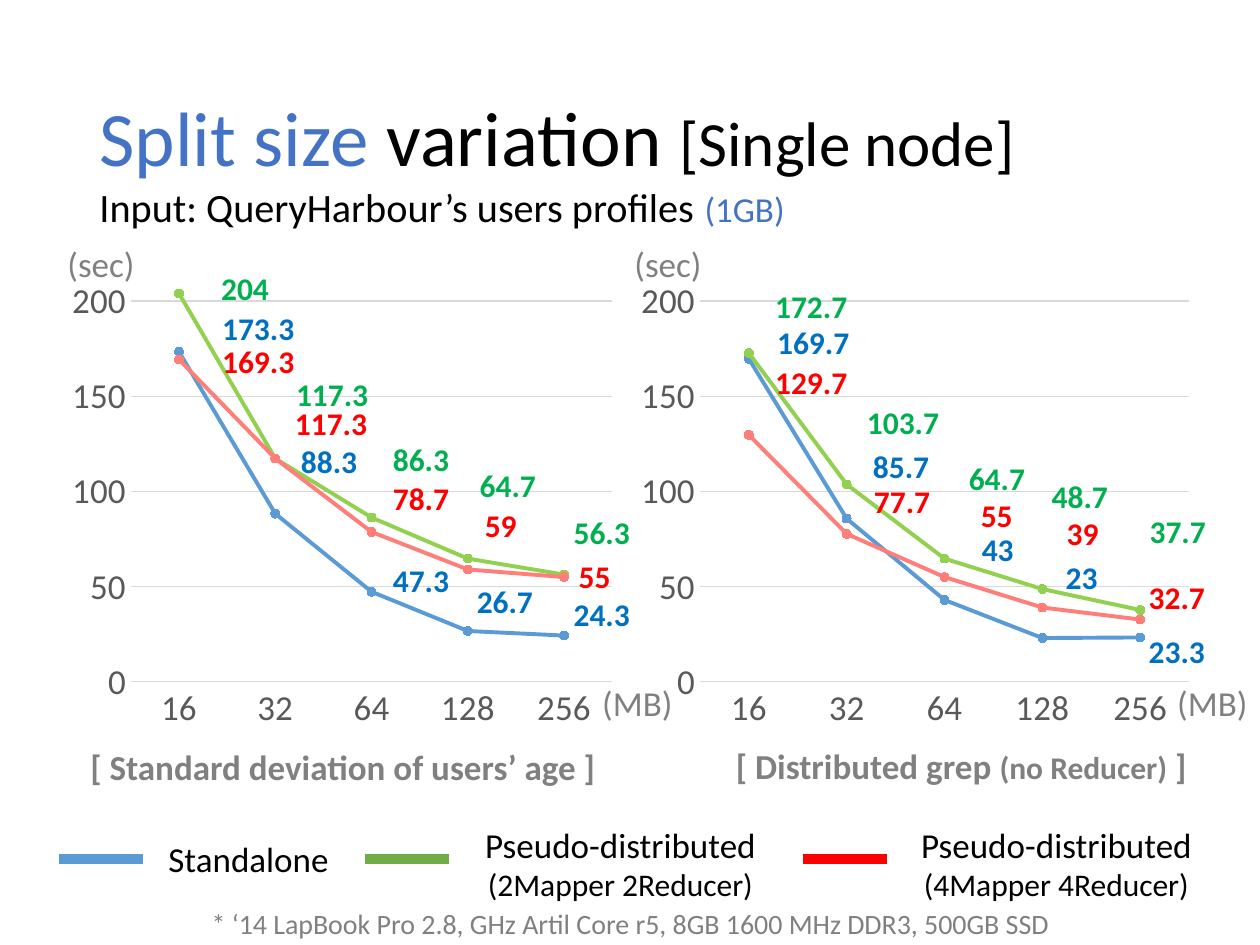
from dataclasses import dataclass

from lxml.etree import SubElement
from pptx import Presentation
from pptx.chart.data import CategoryChartData
from pptx.dml.color import RGBColor
from pptx.enum.chart import XL_CHART_TYPE, XL_LABEL_POSITION, XL_MARKER_STYLE, XL_TICK_MARK
from pptx.enum.shapes import MSO_CONNECTOR
from pptx.enum.text import MSO_ANCHOR, MSO_AUTO_SIZE, PP_ALIGN
from pptx.oxml import parse_xml
from pptx.oxml.ns import qn
from pptx.util import Emu, Pt

PX_PER_INCH = 126
FONT = "Calibri"
BLACK = RGBColor(0x00, 0x00, 0x00)
GRAY = RGBColor(0x80, 0x80, 0x80)
AXIS_GRAY = RGBColor(0x59, 0x59, 0x59)
GRID_GRAY = RGBColor(0xD9, 0xD9, 0xD9)
ACCENT = RGBColor(0x44, 0x72, 0xC4)
BLUE = RGBColor(0x5B, 0x9B, 0xD5)
DARK_BLUE = RGBColor(0x00, 0x70, 0xC0)
GREEN = RGBColor(0x92, 0xD0, 0x50)
DARK_GREEN = RGBColor(0x00, 0xB0, 0x50)
LEGEND_GREEN = RGBColor(0x70, 0xAD, 0x47)
SALMON = RGBColor(0xFF, 0x7E, 0x79)
RED = RGBColor(0xFF, 0x00, 0x00)

SPLIT_SIZES = (16, 32, 64, 128, 256)
AXIS_MAX = 220
CHART_TOP, CHART_HEIGHT = 253, 486
PLOT_TOP, PLOT_HEIGHT = 263, 419
LABEL_GAP = 9


@dataclass(frozen=True)
class Span:
    text: str
    size: int
    color: RGBColor = BLACK
    bold: bool = False


@dataclass(frozen=True)
class Mode:
    line: RGBColor
    marker: RGBColor
    label: RGBColor


@dataclass(frozen=True)
class Timing:
    seconds: tuple[float, ...]
    label_spots: tuple[tuple[int, int], ...]


@dataclass(frozen=True)
class Experiment:
    left: int
    width: int
    plot_left: int
    plot_width: int
    timings: tuple[Timing, ...]


@dataclass(frozen=True)
class Note:
    box: tuple[int, int, int, int]
    lines: tuple[tuple[Span, ...], ...]
    align: PP_ALIGN = PP_ALIGN.LEFT
    wrap: bool = False


@dataclass(frozen=True)
class LegendKey:
    left: int
    color: RGBColor


MODES = (
    Mode(BLUE, ACCENT, DARK_BLUE),
    Mode(GREEN, DARK_GREEN, DARK_GREEN),
    Mode(SALMON, RED, RED),
)
EXPERIMENTS = (
    Experiment(62, 568, 131, 482, (
        Timing((173.3, 88.3, 47.3, 26.7, 24.3),
               ((222, 329), (301, 462), (393, 581), (477, 602), (574, 615))),
        Timing((204, 117.3, 86.3, 64.7, 56.3),
               ((221, 289), (296, 395), (393, 460), (480, 486), (574, 533))),
        Timing((169.3, 117.3, 78.7, 59, 55),
               ((222, 362), (295, 424), (393, 499), (485, 526), (579, 577))),
    )),
    Experiment(630, 576, 700, 490, (
        Timing((169.7, 85.7, 43, 23, 23.3),
               ((777, 343), (873, 467), (982, 550), (1066, 578), (1149, 653))),
        Timing((172.7, 103.7, 64.7, 48.7, 37.7),
               ((775, 307), (867, 423), (969, 479), (1052, 497), (1150, 532))),
        Timing((129.7, 77.7, 55, 39, 32.7),
               ((775, 383), (874, 502), (981, 516), (1067, 534), (1149, 598))),
    )),
)
TITLE = (Span("Split size ", 44, ACCENT), Span("variation ", 44), Span("[Single node]", 36))
SECONDS = ((Span("(sec)", 20, GRAY),),)
MEGABYTES = ((Span("(MB)", 20, GRAY),),)


def pseudo_distributed(workers: str) -> tuple[tuple[Span, ...], ...]:
    return (Span("Pseudo-distributed", 20),), (Span(workers, 18),)


NOTES = (
    Note((168, 900, 925, 47), ((Span(
        "* ‘14 LapBook Pro 2.8, GHz Artil Core r5, 8GB 1600 MHz DDR3, 500GB SSD",
        16, GRAY),),), PP_ALIGN.CENTER),
    Note((87, 176, 1255, 62), ((
        Span("Input: QueryHarbour’s users profiles ", 23), Span("(1GB)", 20, ACCENT)),), wrap=True),
    Note((55, 236, 95, 55), SECONDS),
    Note((622, 236, 95, 55), SECONDS),
    Note((587, 675, 98, 55), MEGABYTES, PP_ALIGN.RIGHT),
    Note((1162, 675, 98, 55), MEGABYTES, PP_ALIGN.RIGHT),
    Note((72, 739, 536, 55), ((
        Span("[ Standard deviation of users’ age ]", 20, GRAY, True),),), PP_ALIGN.RIGHT),
    Note((716, 738, 483, 55), ((
        Span("[ Distributed grep ", 20, GRAY, True), Span("(no Reducer)", 18, GRAY, True),
        Span(" ]", 20, GRAY, True)),), PP_ALIGN.RIGHT),
    Note((156, 831, 188, 55), ((Span("Standalone", 20),),)),
    Note((471, 817, 299, 93), pseudo_distributed("(2Mapper 2Reducer)"), PP_ALIGN.CENTER),
    Note((907, 817, 299, 93), pseudo_distributed("(4Mapper 4Reducer)"), PP_ALIGN.CENTER),
)
LEGEND_KEYS = (LegendKey(59, BLUE), LegendKey(365, LEGEND_GREEN), LegendKey(803, RED))


def px(length: int) -> Emu:
    return Emu(round(length * 914400 / PX_PER_INCH))


def style_font(font, size: int, color: RGBColor, bold: bool = False) -> None:
    font.name, font.size, font.bold = FONT, Pt(size), bold
    font.color.rgb = color


def write_spans(paragraph, spans: tuple[Span, ...]) -> None:
    for span in spans:
        run = paragraph.add_run()
        run.text = span.text
        style_font(run.font, span.size, span.color, span.bold)


def add_title(slide) -> None:
    title = slide.shapes.title
    title.left, title.top, title.width, title.height = map(px, (87, 50, 1086, 183))
    frame = title.text_frame
    frame.auto_size, frame.vertical_anchor = MSO_AUTO_SIZE.NONE, MSO_ANCHOR.MIDDLE
    paragraph = frame.paragraphs[0]
    paragraph.alignment, paragraph.line_spacing = PP_ALIGN.LEFT, 0.9
    write_spans(paragraph, TITLE)


def add_note(slide, note: Note) -> None:
    frame = slide.shapes.add_textbox(*map(px, note.box)).text_frame
    frame.word_wrap, frame.auto_size = note.wrap, MSO_AUTO_SIZE.SHAPE_TO_FIT_TEXT
    for index, spans in enumerate(note.lines):
        paragraph = frame.add_paragraph() if index else frame.paragraphs[0]
        paragraph.alignment = note.align
        write_spans(paragraph, spans)


def add_legend_key(slide, key: LegendKey) -> None:
    swatch = slide.shapes.add_connector(
        MSO_CONNECTOR.STRAIGHT, px(key.left), px(859), px(key.left + 84), px(859))
    swatch.line.color.rgb, swatch.line.width = key.color, Pt(6)
    SubElement(swatch._element.spPr, qn("a:effectLst"))


def manual_layout(inner: bool = False, **fractions: float):
    modes = '<c:layoutTarget val="inner"/><c:xMode val="edge"/><c:yMode val="edge"/>' if inner else ""
    values = "".join(f'<c:{key} val="{value:.4f}"/>' for key, value in fractions.items())
    return parse_xml(
        '<c:layout xmlns:c="http://schemas.openxmlformats.org/drawingml/2006/chart">'
        f"<c:manualLayout>{modes}{values}</c:manualLayout></c:layout>")


def hide_leader_lines(series) -> None:
    labels = series._element.find(qn("c:dLbls"))
    for leader in labels.findall(qn("c:showLeaderLines")):
        leader.set("val", "0")
    labels.append(parse_xml(
        '<c:extLst xmlns:c="http://schemas.openxmlformats.org/drawingml/2006/chart" '
        'xmlns:c15="http://schemas.microsoft.com/office/drawing/2012/chart">'
        '<c:ext uri="{CE6537A1-D6FC-4f65-9D91-7224C49458BB}">'
        '<c15:showLeaderLines val="0"/></c:ext></c:extLst>'))


def style_series(series, mode: Mode, timing: Timing, experiment: Experiment) -> None:
    series.smooth = False
    series.format.line.color.rgb, series.format.line.width = mode.line, Pt(2.25)
    series.marker.style, series.marker.size = XL_MARKER_STYLE.CIRCLE, 5
    series.marker.format.fill.solid()
    series.marker.format.fill.fore_color.rgb = series.marker.format.line.color.rgb = mode.marker
    series.data_labels.show_value = True
    series.data_labels.position = XL_LABEL_POSITION.RIGHT
    style_font(series.data_labels.font, 18, mode.label, True)
    step = experiment.plot_width / len(SPLIT_SIZES)
    for index, (seconds, (left, middle)) in enumerate(zip(timing.seconds, timing.label_spots)):
        label = series.points[index].data_label
        style_font(label.font, 18, mode.label, True)
        label.position = XL_LABEL_POSITION.RIGHT
        point_x = experiment.plot_left + (index + 0.5) * step
        point_y = PLOT_TOP + PLOT_HEIGHT * (1 - seconds / AXIS_MAX)
        offset = manual_layout(x=(left - point_x - LABEL_GAP) / experiment.width,
                               y=(middle - point_y) / CHART_HEIGHT)
        series._element.findall(f".//{qn('c:dLbl')}")[index].insert(1, offset)
    hide_leader_lines(series)


def add_experiment(slide, experiment: Experiment) -> None:
    data = CategoryChartData()
    data.categories = SPLIT_SIZES
    for number, timing in enumerate(experiment.timings, 1):
        data.add_series(f"Series {number}", timing.seconds)
    frame = tuple(map(px, (experiment.left, CHART_TOP, experiment.width, CHART_HEIGHT)))
    chart = slide.shapes.add_chart(XL_CHART_TYPE.LINE_MARKERS, *frame, data).chart
    chart.has_legend = chart.has_title = False
    style_font(chart.font, 10, BLACK)
    for axis in (chart.category_axis, chart.value_axis):
        axis.major_tick_mark = axis.minor_tick_mark = XL_TICK_MARK.NONE
        style_font(axis.tick_labels.font, 20, AXIS_GRAY)
    scale = chart.value_axis
    scale.minimum_scale, scale.maximum_scale, scale.major_unit = 0, AXIS_MAX, 50
    scale.format.line.fill.background()
    for rule in (chart.category_axis.format.line, scale.major_gridlines.format.line):
        rule.color.rgb, rule.width = GRID_GRAY, Pt(0.75)
    plot = chart.plots[0]
    plot.vary_by_categories = False
    plot_area = chart._chartSpace.chart.plotArea
    for automatic in plot_area.findall(qn("c:layout")):
        plot_area.remove(automatic)
    plot_area.insert(0, manual_layout(
        True, x=(experiment.plot_left - experiment.left) / experiment.width,
        y=(PLOT_TOP - CHART_TOP) / CHART_HEIGHT,
        w=experiment.plot_width / experiment.width, h=PLOT_HEIGHT / CHART_HEIGHT))
    for series, mode, timing in zip(plot.series, MODES, experiment.timings):
        style_series(series, mode, timing, experiment)


def main() -> None:
    deck = Presentation()
    deck.slide_width, deck.slide_height = px(1260), px(945)
    slide = deck.slides.add_slide(deck.slide_layouts[5])
    add_title(slide)
    for experiment in EXPERIMENTS:
        add_experiment(slide, experiment)
    for note in NOTES:
        add_note(slide, note)
    for key in LEGEND_KEYS:
        add_legend_key(slide, key)
    deck.save("out.pptx")


if __name__ == "__main__":
    main()
